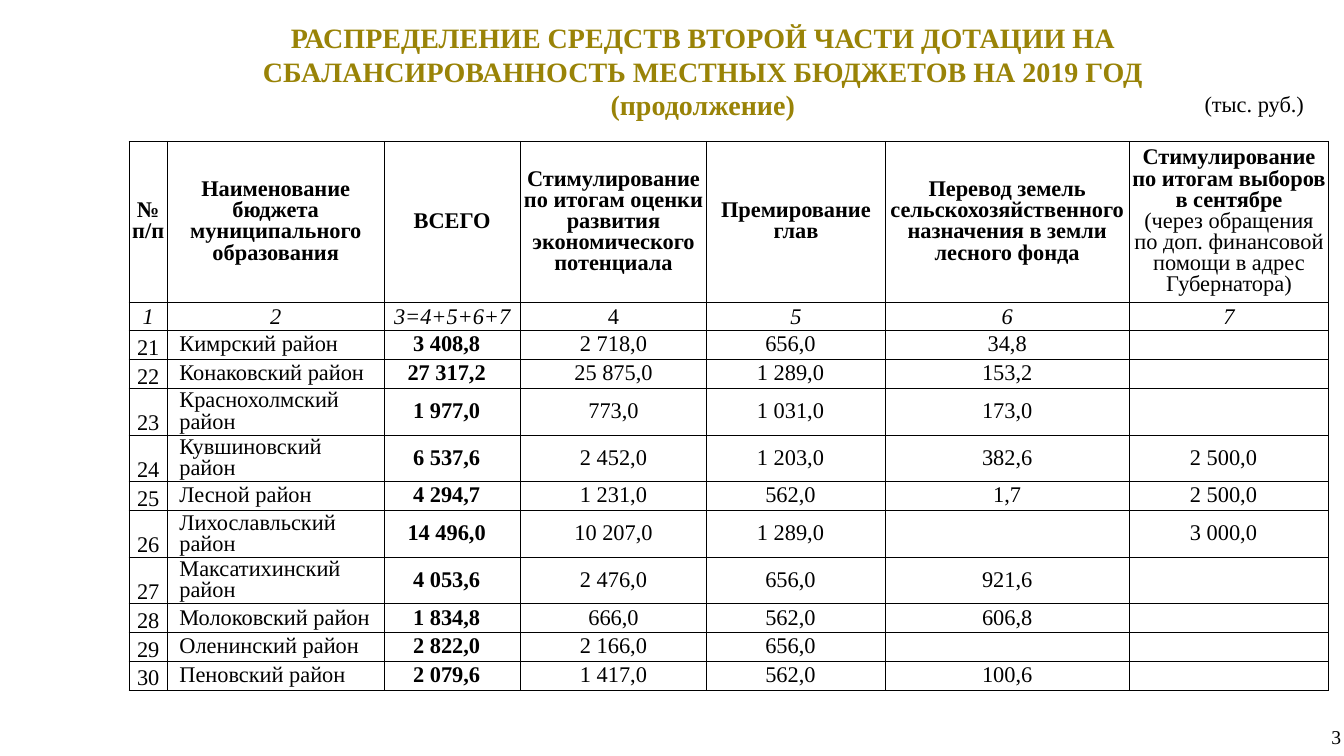
from lxml import etree
from pptx import Presentation, util as u
from pptx.dml.color import RGBColor
from pptx.enum import shapes, text
from pptx.oxml import ns

FONT = "Times New Roman"
MIDDLE, BOTTOM = text.MSO_ANCHOR.MIDDLE, text.MSO_ANCHOR.BOTTOM
LEFT, CENTER, RIGHT = text.PP_ALIGN.LEFT, text.PP_ALIGN.CENTER, text.PP_ALIGN.RIGHT


def write(tf, content, size=16, color="000000", bold=False, italic=False,
          align=CENTER, spacing=None, first=True):
    """Fill the first paragraph of a frame, or append a new one."""
    p = tf.paragraphs[0] if first else tf.add_paragraph()
    p.alignment = align
    if spacing:
        p.line_spacing = spacing
    if not content:
        p._p.get_or_add_endParaRPr().set("sz", str(size * 100))
        return
    r = p.add_run()
    r.text = content
    r.font.name, r.font.size = FONT, u.Pt(size)
    r.font.bold, r.font.italic = bold, italic
    r.font.color.rgb = RGBColor.from_string(color)


def add_borders(cell):
    tcPr = cell._tc.get_or_add_tcPr()
    for i, side in enumerate(("lnL", "lnR", "lnT", "lnB")):
        ln = etree.Element(ns.qn("a:" + side), w=str(u.Pt(0.5)))
        fill = etree.SubElement(ln, ns.qn("a:solidFill"))
        etree.SubElement(fill, ns.qn("a:srgbClr"), val="000000")
        tcPr.insert(i, ln)


prs = Presentation()
prs.slide_width, prs.slide_height = u.Inches(13.33), u.Inches(7.5)
s = prs.slides.add_slide(prs.slide_layouts[6])

# Title
tf = s.shapes.add_textbox(u.Inches(0.96), u.Inches(0.34), u.Inches(12.02), u.Inches(0.73)).text_frame
tf.word_wrap, tf.vertical_anchor = True, MIDDLE
tf.margin_left = tf.margin_right = u.Inches(0.2)
title = ("РАСПРЕДЕЛЕНИЕ СРЕДСТВ ВТОРОЙ ЧАСТИ ДОТАЦИИ НА "
         "СБАЛАНСИРОВАННОСТЬ МЕСТНЫХ БЮДЖЕТОВ НА 2019 ГОД")
for i, line in enumerate((title, "(продолжение)")):
    write(tf, line, size=20, color="998307", bold=True, first=i == 0)

# Table
headers = ["№ п/п", "Наименование бюджета муниципального образования", "ВСЕГО",
           "Стимулирование по итогам оценки развития экономического потенциала",
           "Премирование глав",
           "Перевод земель сельскохозяйственного назначения в земли лесного фонда",
           "Стимулирование по итогам выборов в сентябре"]
numbering = ["1", "2", "3=4+5+6+7", "4", "5", "6", "7"]
districts = [
    ["21", "Кимрский район", "3 408,8", "2 718,0", "656,0", "34,8", ""],
    ["22", "Конаковский район", "27 317,2", "25 875,0", "1 289,0", "153,2", ""],
    ["23", "Краснохолмский район", "1 977,0", "773,0", "1 031,0", "173,0", ""],
    ["24", "Кувшиновский район", "6 537,6", "2 452,0", "1 203,0", "382,6", "2 500,0"],
    ["25", "Лесной район", "4 294,7", "1 231,0", "562,0", "1,7", "2 500,0"],
    ["26", "Лихославльский район", "14 496,0", "10 207,0", "1 289,0", "", "3 000,0"],
    ["27", "Максатихинский район", "4 053,6", "2 476,0", "656,0", "921,6", ""],
    ["28", "Молоковский район", "1 834,8", "666,0", "562,0", "606,8", ""],
    ["29", "Оленинский район", "2 822,0", "2 166,0", "656,0", "", ""],
    ["30", "Пеновский район", "2 079,6", "1 417,0", "562,0", "100,6", ""],
]
rows = [headers, numbering] + districts
widths = [0.38, 2.15, 1.35, 1.85, 1.77, 2.42, 1.98]
heights = [1.57] + [0.286] * (len(rows) - 1)

table = s.shapes.add_table(len(rows), len(widths), u.Inches(1.28), u.Inches(1.4),
                           u.Inches(sum(widths)), u.Inches(sum(heights))).table
table.first_row = table.horz_banding = False
for column, width in zip(table.columns, widths):
    column.width = u.Inches(width)

for i, (values, height) in enumerate(zip(rows, heights)):
    table.rows[i].height = u.Inches(height)
    for j, value in enumerate(values):
        cell = table.cell(i, j)
        is_data = i > 1
        is_name = is_data and j == 1
        cell.vertical_anchor = BOTTOM if is_data and j == 0 else MIDDLE
        cell.margin_left = u.Inches(0.12 if is_name else 0.01)
        cell.margin_right = u.Inches(0.12 if is_data and j in (2, 4, 6) else 0.01)
        cell.margin_top, cell.margin_bottom = u.Inches(0.01), 0
        if is_data:
            cell.fill.background()
        else:
            cell.fill.solid()
            cell.fill.fore_color.rgb = RGBColor.from_string("FFFFFF")
        add_borders(cell)
        write(cell.text_frame, value, bold=i == 0 or is_data and j == 2,
              italic=i == 1 and value != "4", align=LEFT if is_name else CENTER,
              spacing=None if i == 1 else 0.85)
write(table.cell(0, 6).text_frame,
      "(через обращения по доп. финансовой помощи в адрес Губернатора)",
      spacing=0.85, first=False)

# Unit label
unit = s.shapes.add_shape(shapes.MSO_SHAPE.RECTANGLE, u.Inches(11.83), u.Inches(0.86),
                          u.Inches(1.22), u.Inches(0.33))
unit.shadow.inherit = False
unit.fill.solid()
unit.fill.fore_color.rgb = unit.line.color.rgb = RGBColor.from_string("FFFFFF")
unit.line.width = u.Pt(1)
unit.text_frame.word_wrap, unit.text_frame.vertical_anchor = True, MIDDLE
write(unit.text_frame, "(тыс. руб.)")

# Slide number
tf = s.shapes.add_textbox(u.Inches(12.93), u.Inches(7.11), u.Inches(0.47), u.Inches(0.4)).text_frame
tf.word_wrap, tf.vertical_anchor = True, MIDDLE
write(tf, "3", size=14, align=RIGHT)

prs.save("out.pptx")
